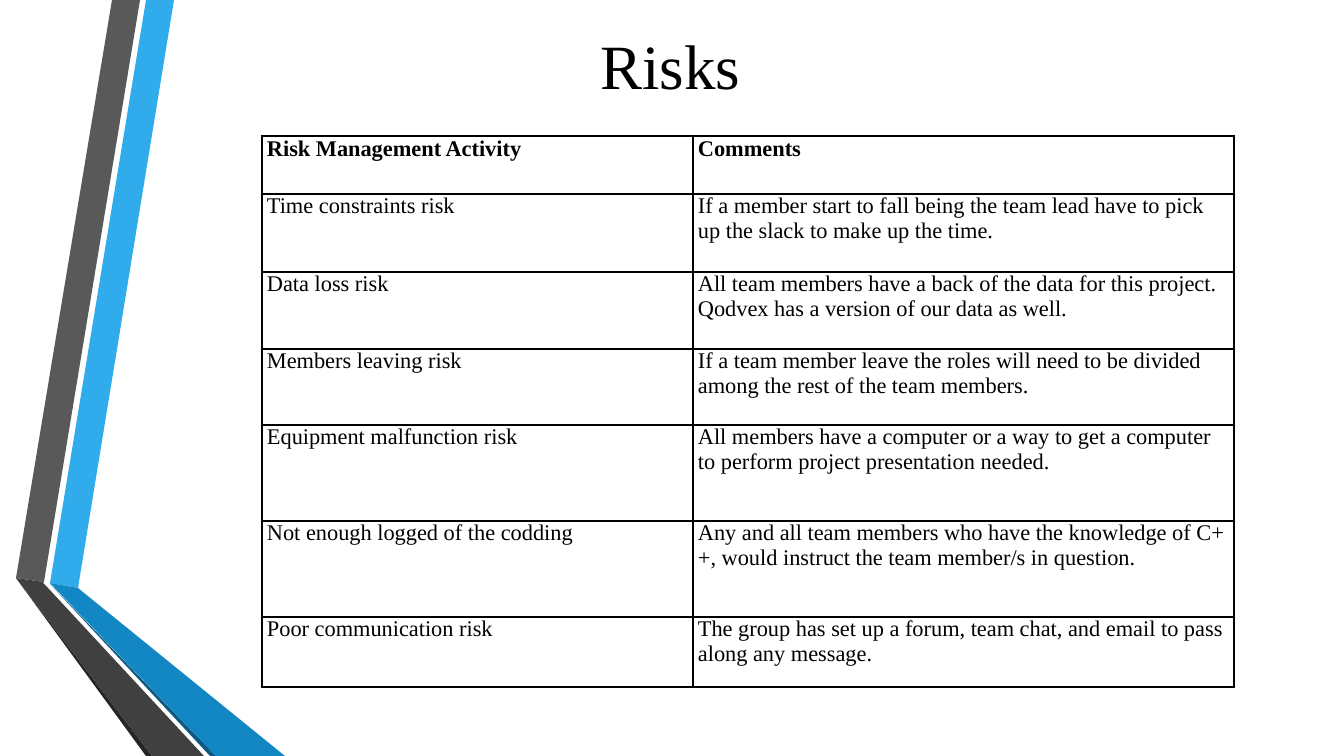
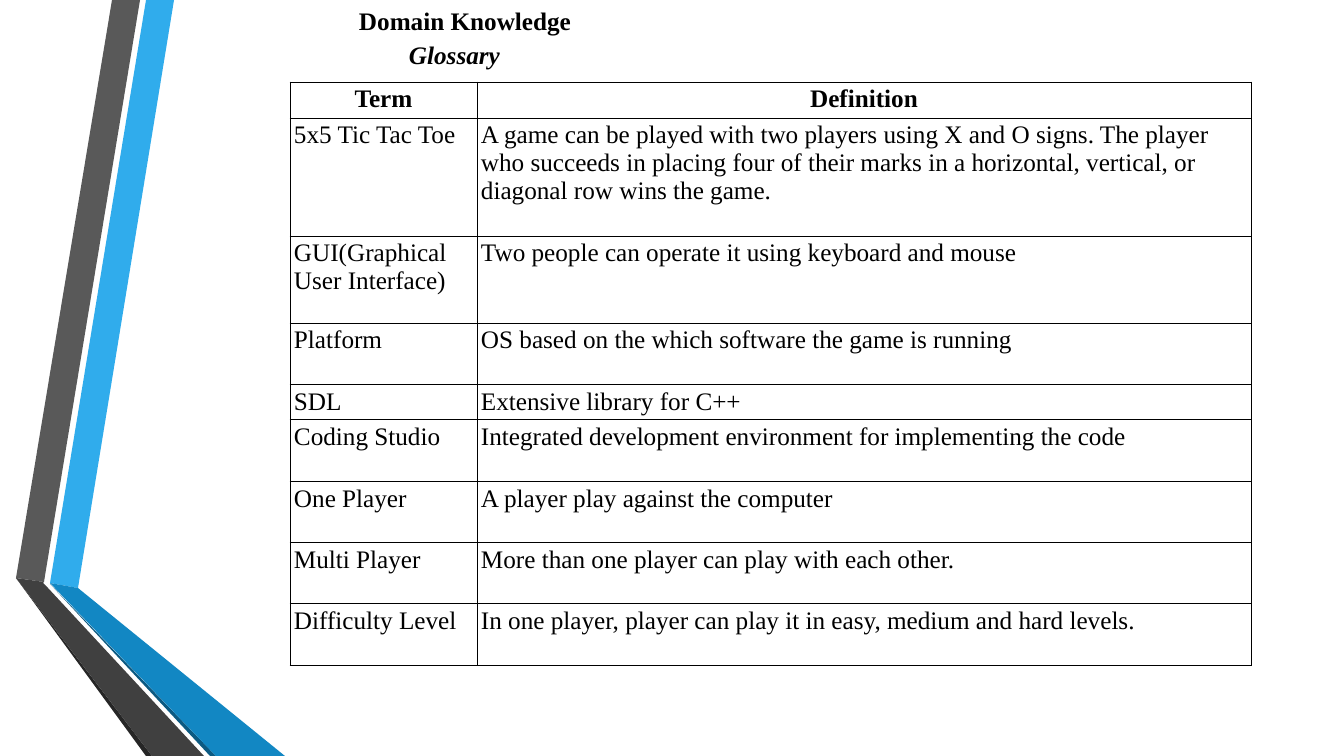
from lxml.etree import SubElement
from pptx import Presentation
from pptx.dml.color import RGBColor
from pptx.enum.text import MSO_ANCHOR as Anchor, MSO_AUTO_SIZE as AutoSize, PP_ALIGN as Align
from pptx.oxml.ns import qn
from pptx.util import Pt

EMU_PER_PX = 914400 / 100.8
FONT = "Times New Roman"
BLACK = RGBColor(0x00, 0x00, 0x00)
WHITE = RGBColor(0xFF, 0xFF, 0xFF)
SKY = RGBColor(0x30, 0xAC, 0xEC)
BLUE = RGBColor(0x12, 0x87, 0xC3)
NAVY = RGBColor(0x0C, 0x5A, 0x82)
GREY = RGBColor(0x59, 0x59, 0x59)
CHARCOAL = RGBColor(0x40, 0x40, 0x40)
SOOT = RGBColor(0x26, 0x26, 0x26)

RIBBONS = [
    (SKY, [(50, 583), (78, 588), (174, 0), (146, 0)]),
    (GREY, [(140, 0), (112, 0), (16, 578), (44, 582)]),
    (SOOT, [(16, 578), (146, 756), (152, 756)]),
    (NAVY, [(50, 584), (210, 756), (216, 756)]),
    (BLUE, [(50, 583), (216, 756), (285, 756), (78, 588)]),
    (CHARCOAL, [(204, 756), (48, 588), (43, 583), (44, 582), (16, 578), (152, 756)]),
]
FIRST_RIBBON_ID = 20

RISKS = [
    ("Risk Management Activity", "Comments"),
    ("Time constraints risk",
     "If a member start to fall being the team lead have to pick up the slack "
     "to make up the time."),
    ("Data loss risk",
     "All team members have a back of the data for this project. "
     "Qodvex has a version of our data as well."),
    ("Members leaving risk",
     "If a team member leave the roles will need to be divided among the rest "
     "of the team members."),
    ("Equipment malfunction risk",
     "All members have a computer or a way to get a computer to perform "
     "project presentation needed."),
    ("Not enough logged of the codding",
     "Any and all team members who have the knowledge of C++, would instruct "
     "the team member/s in question."),
    ("Poor communication risk",
     "The group has set up a forum, team chat, and email to pass along any message."),
]
GLOSSARY = [
    ("Term", "Definition"),
    ("5x5 Tic Tac Toe",
     "A game can be played with two players using X and O signs. The player who "
     "succeeds in placing four of their marks in a horizontal, vertical, or "
     "diagonal row wins the game."),
    ("GUI(Graphical User Interface)", "Two people can operate it using keyboard and mouse"),
    ("Platform", "OS based on the which software the game is running"),
    ("SDL", "Extensive library for C++"),
    ("Coding Studio", "Integrated development environment for implementing the code"),
    ("One Player", "A player play against the computer"),
    ("Multi Player", "More than one player can play with each other."),
    ("Difficulty Level", "In one player, player can play it in easy, medium and hard levels."),
]


def px(length):
    """Turn pixels into EMU."""
    return round(length * EMU_PER_PX)


def style(paragraph, size, bold=False, italic=False, align=Align.LEFT):
    """Give a paragraph the deck's font and the given emphasis."""
    paragraph.alignment = align
    font = paragraph.font
    font.name, font.size = FONT, Pt(size)
    font.bold, font.italic = bold, italic
    font.color.rgb = BLACK


def add_ribbons(slide, layout):
    """Draw the folded ribbons and hand them to the layout, behind its placeholders."""
    tree = layout.shapes.element
    for index, (color, corners) in enumerate(RIBBONS):
        outline = slide.shapes.build_freeform(*corners[0], scale=EMU_PER_PX)
        outline.add_line_segments(corners[1:], close=True)
        ribbon = outline.convert_to_shape()
        ribbon.shadow.inherit = False
        ribbon.fill.solid()
        ribbon.fill.fore_color.rgb = color
        ribbon.line.fill.background()
        ribbon.element.nvSpPr.cNvPr.id = FIRST_RIBBON_ID + index
        tree.insert(2 + index, ribbon.element)


def place_title(slide, box, text):
    """Move the title placeholder to the box and return its paragraphs."""
    title = slide.shapes.title
    title.left, title.top, title.width, title.height = map(px, box)
    frame = title.text_frame
    frame.text = text
    frame.word_wrap = True
    frame.auto_size = AutoSize.NONE
    frame.vertical_anchor = Anchor.TOP
    frame.margin_left = frame.margin_right = px(10)
    frame.margin_top = frame.margin_bottom = px(5)
    return frame.paragraphs


def add_borders(cell, width):
    """Draw a black line on each side of a cell."""
    properties = cell._tc.get_or_add_tcPr()
    for side in ("a:lnL", "a:lnR", "a:lnT", "a:lnB"):
        line = SubElement(properties, qn(side), w=str(Pt(width)))
        fill = SubElement(line, qn("a:solidFill"))
        SubElement(fill, qn("a:srgbClr"), val=str(BLACK))


def add_grid(slide, corner, columns, heights, rows, size, border, insets,
             header_align=Align.LEFT, space_after=0):
    """Build a ruled table with a bold header row from the given corner."""
    left, top = corner
    table = slide.shapes.add_table(
        len(rows), len(columns), px(left), px(top), px(sum(columns)), px(sum(heights))).table
    table.first_row = table.horz_banding = False
    for column, width in zip(table.columns, columns):
        column.width = px(width)
    side_inset, edge_inset = map(px, insets)
    for index, (row, height, texts) in enumerate(zip(table.rows, heights, rows)):
        row.height = px(height)
        header = index == 0
        for cell, text in zip(row.cells, texts):
            cell.text = text
            cell.margin_left = cell.margin_right = side_inset
            cell.margin_top = cell.margin_bottom = edge_inset
            add_borders(cell, border)
            cell.fill.solid()
            cell.fill.fore_color.rgb = WHITE
            paragraph = cell.text_frame.paragraphs[0]
            style(paragraph, size, bold=header,
                  align=header_align if header else Align.LEFT)
            paragraph.space_after = Pt(space_after)


def build_risks(slide):
    """Fill the slide of risks and their handling."""
    heading, = place_title(slide, (309, 21, 723, 77), "Risks")
    style(heading, 45, align=Align.CENTER)
    add_grid(slide, (262, 136), [431, 541], [58, 78, 77, 76, 96, 96, 70], RISKS,
             size=16, border=1, insets=(5, 0))


def build_glossary(slide):
    """Fill the slide of terms and definitions."""
    heading, subheading = place_title(slide, (349, 0, 672, 76), "Domain Knowledge\nGlossary")
    style(heading, 18, bold=True)
    heading.space_after = Pt(3)
    style(subheading, 18, bold=True, italic=True)
    subheading._p.get_or_add_pPr().set("marL", str(px(50)))
    add_grid(slide, (290, 82), [187, 774], [36, 118, 87, 62, 35, 62, 61, 61, 62], GLOSSARY,
             size=18, border=0.75, insets=(4, 3), header_align=Align.CENTER, space_after=10)


def main():
    """Build and save the deck."""
    deck = Presentation()
    deck.slide_width, deck.slide_height = px(1344), px(756)
    title_only = deck.slide_layouts[5]
    risks, glossary = (deck.slides.add_slide(title_only) for _ in range(2))
    add_ribbons(risks, title_only)
    build_risks(risks)
    build_glossary(glossary)
    deck.save("out.pptx")


main()
